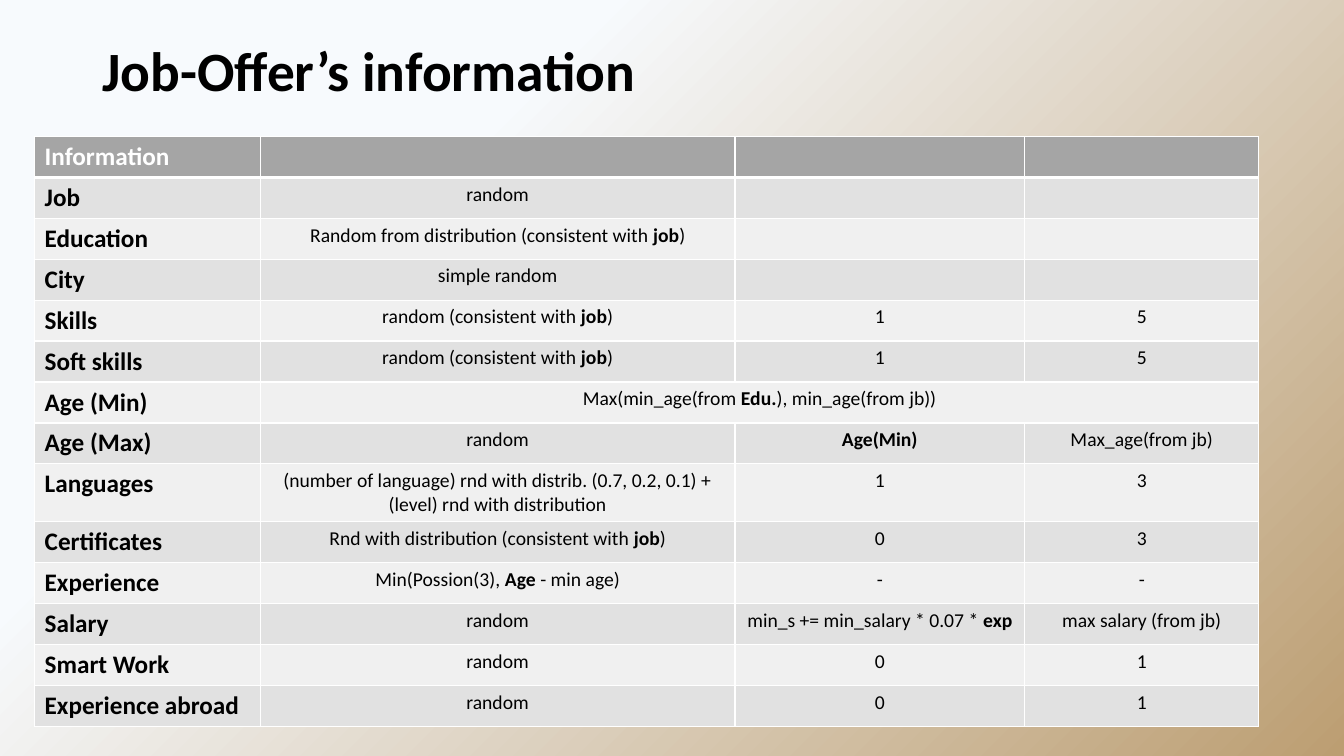
"""Build the slide that tabulates how job-offer information is generated."""
from dataclasses import dataclass

from lxml import etree
from pptx import Presentation
from pptx import util as u
from pptx.dml.color import RGBColor
from pptx.enum import text
from pptx.oxml.ns import qn

PX = 9525
FONT = "Calibri"
BLACK = RGBColor(0x00, 0x00, 0x00)
WHITE = RGBColor(0xFF, 0xFF, 0xFF)
HEADER_GREY = RGBColor(0xA5, 0xA5, 0xA5)
BAND_GREYS = (RGBColor(0xF0, 0xF0, 0xF0), RGBColor(0xE1, 0xE1, 0xE1))
PALE_BLUE = RGBColor(0xF7, 0xFA, 0xFD)
SAND = RGBColor(0xBC, 0x9E, 0x72)

COLUMN_WIDTHS = (215, 452, 276, 223)
ROW_HEIGHT = 39
BOLD_MARK = "**"


@dataclass(frozen=True)
class Field:
    """One table row; double asterisks enclose bold words."""

    name: str
    rule: str = ""
    low: str = ""
    high: str = ""
    height: int = ROW_HEIGHT
    merged: bool = False


FIELDS = (
    Field("Information"),
    Field("Job", "random"),
    Field("Education", "Random from distribution (consistent with **job**)"),
    Field("City", "simple random"),
    Field("Skills", "random (consistent with **job**)", "1", "5"),
    Field("Soft skills", "random (consistent with **job**)", "1", "5"),
    Field("Age (Min)", "Max(min_age(from **Edu.**), min_age(from jb))", merged=True),
    Field("Age (Max)", "random", "**Age(Min)**", "Max_age(from jb)"),
    Field(
        "Languages",
        "(number of language) rnd with distrib. (0.7, 0.2, 0.1) +\n(level) rnd with distribution",
        "1",
        "3",
        height=55,
    ),
    Field("Certificates", "Rnd with distribution (consistent with **job**)", "0", "3"),
    Field("Experience", "Min(Possion(3), **Age **- min age)", "-", "-"),
    Field("Salary", "random", "min_s += min_salary * 0.07 * **exp**", "max salary (from jb)"),
    Field("Smart Work", "random", "0", "1"),
    Field("Experience abroad", "random", "0", "1"),
)


def px(length: int) -> u.Emu:
    """Convert whole pixels to EMU."""
    return u.Emu(length * PX)


def style_font(font, size: float, color: RGBColor, bold: bool) -> None:
    """Apply the slide's typeface with the given look."""
    font.name, font.size, font.bold = FONT, u.Pt(size), bold
    font.color.rgb = color


def write_cell(cell, content: str, size: int, color: RGBColor, align, bold: bool) -> None:
    """Write paragraphs into a cell, making marked words bold."""
    frame = cell.text_frame
    for index, line in enumerate(content.split("\n")):
        para = frame.add_paragraph() if index else frame.paragraphs[0]
        para.alignment = align
        for part, words in enumerate(line.split(BOLD_MARK)):
            if words:
                span = para.add_run()
                span.text = words
                style_font(span.font, size, color, bold or part % 2 == 1)


def set_borders(cell, top: int, bottom: int) -> None:
    """Draw white borders, with top and bottom widths in points."""
    properties = cell._tc.get_or_add_tcPr()
    widths = {"a:lnL": 1, "a:lnR": 1, "a:lnT": top, "a:lnB": bottom}
    for index, (tag, width) in enumerate(widths.items()):
        line = etree.Element(qn(tag), w=str(u.Pt(width)))
        fill = etree.SubElement(line, qn("a:solidFill"))
        etree.SubElement(fill, qn("a:srgbClr"), val=str(WHITE))
        properties.insert(index, line)


def add_fields(page) -> None:
    """Add the table of fields."""
    frame = page.shapes.add_table(
        len(FIELDS), len(COLUMN_WIDTHS), px(33), px(130),
        px(sum(COLUMN_WIDTHS)), px(sum(field.height for field in FIELDS)),
    )
    table = frame.table
    for column, width in zip(table.columns, COLUMN_WIDTHS):
        column.width = px(width)
    for row, field in enumerate(FIELDS):
        table.rows[row].height = px(field.height)
        contents = (field.name, field.rule, field.low, field.high)
        for column, content in enumerate(contents):
            cell = table.cell(row, column)
            cell.fill.solid()
            cell.fill.fore_color.rgb = BAND_GREYS[row % 2] if row else HEADER_GREY
            set_borders(cell, 3 if row == 1 else 1, 1 if row else 3)
            is_name = column == 0
            write_cell(
                cell, content, 18 if is_name else 14, BLACK if row else WHITE,
                text.PP_ALIGN.LEFT if is_name else text.PP_ALIGN.CENTER, is_name,
            )
        if field.merged:
            table.cell(row, 1).merge(table.cell(row, len(COLUMN_WIDTHS) - 1))


def add_title(page) -> None:
    """Place and format the title."""
    title = page.shapes.title
    title.left, title.top, title.width, title.height = map(px, (88, 38, 1104, 64))
    frame = title.text_frame
    frame.text = "Job-Offer’s information"
    frame.word_wrap = True
    frame.auto_size = text.MSO_AUTO_SIZE.NONE
    frame.vertical_anchor = text.MSO_ANCHOR.MIDDLE
    para = frame.paragraphs[0]
    para.alignment = text.PP_ALIGN.LEFT
    para.line_spacing = 0.9
    style_font(para.runs[0].font, 39.6, BLACK, True)


def paint_background(page) -> None:
    """Fill the page with a diagonal gradient."""
    fill = page.background.fill
    fill.gradient()
    fill.gradient_angle = 315
    for stop, (position, color) in zip(fill.gradient_stops, ((0.29, PALE_BLUE), (1.0, SAND))):
        stop.position = position
        stop.color.rgb = color


def main() -> None:
    """Build and save the deck."""
    deck = Presentation()
    deck.slide_width, deck.slide_height = px(1280), px(720)
    page = deck.slides.add_slide(deck.slide_layouts[5])
    paint_background(page)
    add_title(page)
    add_fields(page)
    deck.save("out.pptx")


if __name__ == "__main__":
    main()
